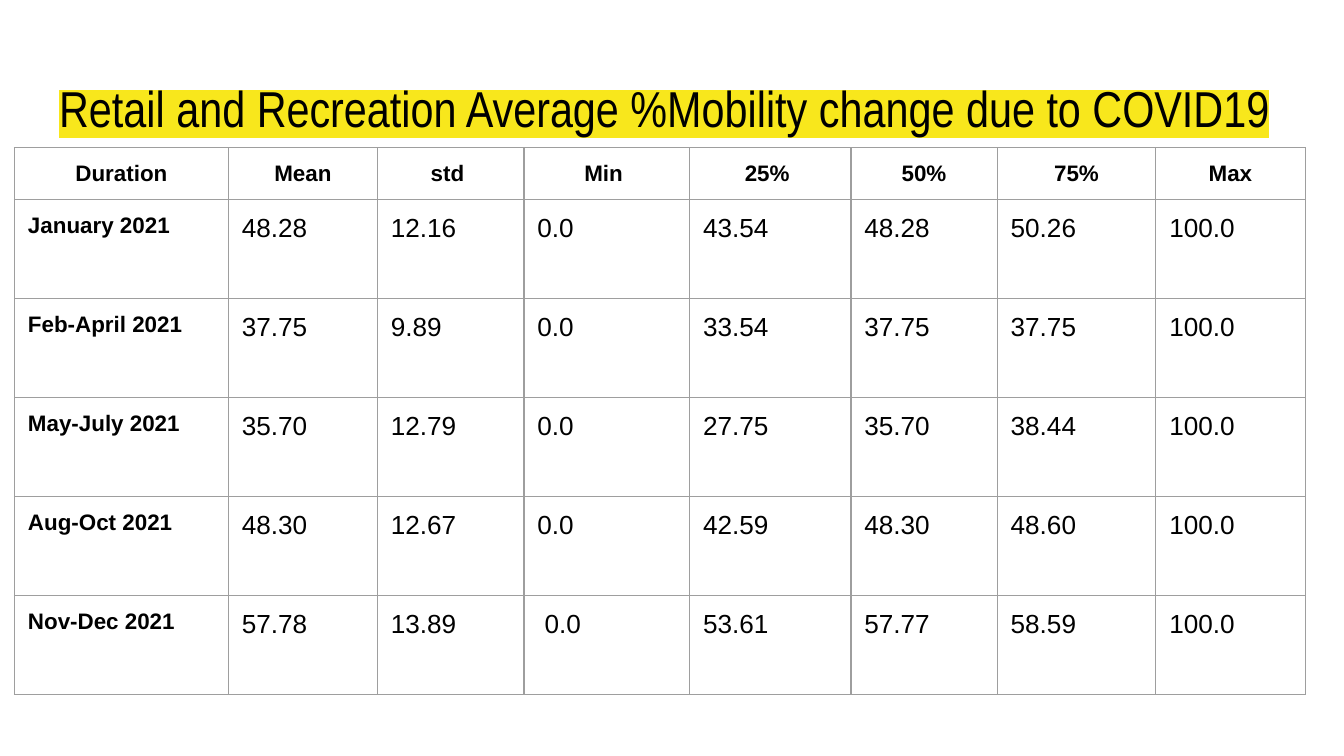
from lxml.etree import SubElement
from pptx import Presentation
from pptx.dml.color import RGBColor
from pptx.enum.text import MSO_ANCHOR, MSO_AUTO_SIZE, PP_ALIGN
from pptx.oxml import parse_xml
from pptx.oxml.ns import nsdecls, qn
from pptx.util import Pt

BLACK = RGBColor(0x00, 0x00, 0x00)
YELLOW = RGBColor(0xF8, 0xE7, 0x1C)
GREY = RGBColor(0x9E, 0x9E, 0x9E)

INSET = Pt(7.2)
BORDER_WIDTH = Pt(0.75)
COLUMN_WIDTHS = [114.6, 79.8, 78.5, 88.8, 86.4, 78.4, 85, 80]
HEADER_HEIGHT, ROW_HEIGHT = 27.8, 53.05

TITLE = "Retail and Recreation Average %Mobility change due to COVID19"
ROWS = [
    ["Duration", "Mean", "std ", "Min ", "25% ", "50%", "75%", "Max"],
    ["January 2021", "48.28", "12.16", "0.0", "43.54", "48.28", "50.26", "100.0"],
    ["Feb-April 2021", "37.75", "9.89", "0.0", "33.54", "37.75", "37.75", "100.0"],
    ["May-July 2021", "35.70", "12.79", "0.0", "27.75", "35.70", "38.44", "100.0"],
    ["Aug-Oct 2021", "48.30", "12.67", "0.0", "42.59", "48.30", "48.60", "100.0"],
    ["Nov-Dec 2021", "57.78", "13.89", " 0.0", "53.61", "57.77", "58.59", "100.0"],
]

TITLE_FONT = {"name": "Arial Narrow", "size": Pt(27), "bold": False}
LABEL_FONT = {"name": "Arial", "size": Pt(12), "bold": True}
VALUE_FONT = {"name": "Arial", "size": Pt(14), "bold": False}


def set_values(target, values):
    for name, value in values.items():
        setattr(target, name, value)


def write_span(para, text, font_values):
    span = para.add_run()
    span.text = text
    span.font.color.rgb = BLACK
    set_values(span.font, font_values)
    return span


def highlight(span, colour):
    mark = parse_xml(
        f'<a:highlight {nsdecls("a")}><a:srgbClr val="{colour}"/></a:highlight>'
    )
    span.font.fill  # the highlight sits between the fill and the typeface
    span._r.rPr.find(qn("a:latin")).addprevious(mark)


def add_title(page):
    box = page.shapes.title
    set_values(box, {"left": Pt(24.5), "top": Pt(35.3),
                     "width": Pt(671), "height": Pt(45.4)})
    frame = box.text_frame
    set_values(frame, {"word_wrap": True, "auto_size": MSO_AUTO_SIZE.NONE,
                       "vertical_anchor": MSO_ANCHOR.BOTTOM,
                       "margin_left": INSET, "margin_right": INSET,
                       "margin_top": INSET, "margin_bottom": INSET})
    para = frame.paragraphs[0]
    para.alignment = PP_ALIGN.LEFT
    highlight(write_span(para, TITLE, TITLE_FONT), YELLOW)


def add_borders(cell):
    properties = cell._tc.get_or_add_tcPr()
    for index, side in enumerate(("lnL", "lnR", "lnT", "lnB")):
        line = SubElement(properties, qn(f"a:{side}"), w=str(BORDER_WIDTH))
        fill = SubElement(line, qn("a:solidFill"))
        SubElement(fill, qn("a:srgbClr"), val=str(GREY))
        properties.insert(index, line)


def format_cell(cell, text, is_header, is_label):
    set_values(cell, {"margin_left": INSET, "margin_right": INSET,
                      "margin_top": INSET, "margin_bottom": INSET,
                      "vertical_anchor": MSO_ANCHOR.TOP})
    cell.fill.background()
    add_borders(cell)
    para = cell.text_frame.paragraphs[0]
    para.alignment = PP_ALIGN.CENTER if is_header else PP_ALIGN.LEFT
    write_span(para, text, LABEL_FONT if is_header or is_label else VALUE_FONT)


def add_mobility_table(page):
    heights = [HEADER_HEIGHT] + [ROW_HEIGHT] * (len(ROWS) - 1)
    table = page.shapes.add_table(
        len(ROWS), len(COLUMN_WIDTHS), Pt(7.8), Pt(79.2),
        Pt(sum(COLUMN_WIDTHS)), Pt(sum(heights))).table
    set_values(table, {"first_row": False, "horz_banding": False})
    for column, width in zip(table.columns, COLUMN_WIDTHS):
        column.width = Pt(width)
    for row_index, (row, height) in enumerate(zip(table.rows, heights)):
        row.height = Pt(height)
        for column_index, cell in enumerate(row.cells):
            format_cell(cell, ROWS[row_index][column_index],
                        row_index == 0, column_index == 0)


def main():
    deck = Presentation()
    set_values(deck, {"slide_width": Pt(720), "slide_height": Pt(405)})
    page = deck.slides.add_slide(deck.slide_layouts[5])

    # Highlighted heading
    add_title(page)

    # Statistics for each period
    add_mobility_table(page)

    deck.save("out.pptx")


if __name__ == "__main__":
    main()
